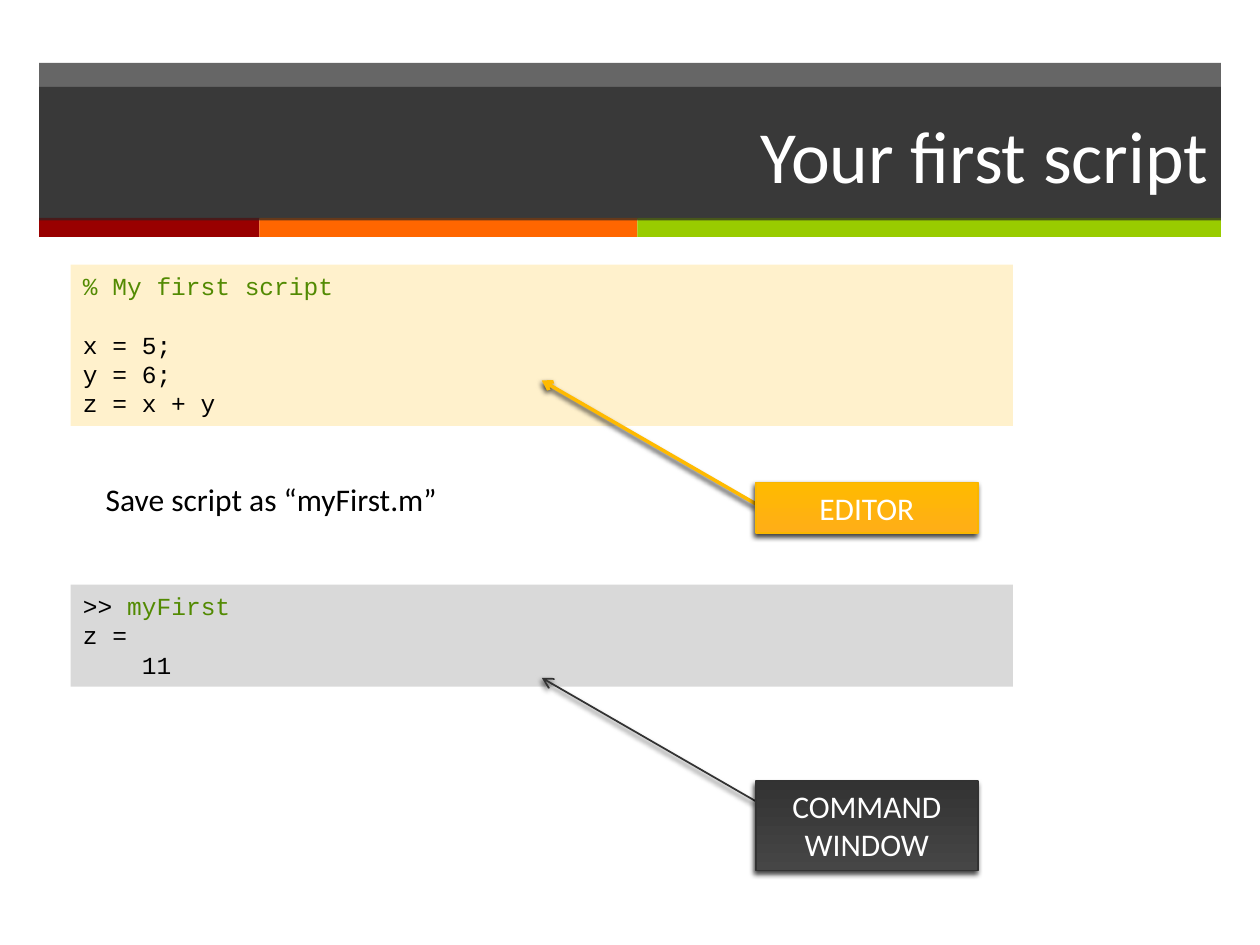
"""Build the "Your first script" slide with code panels and labelled callouts."""
from lxml import etree
from pptx import Presentation
from pptx.dml.color import RGBColor
from pptx.enum.shapes import MSO_CONNECTOR, MSO_SHAPE
from pptx.enum.text import MSO_ANCHOR, PP_ALIGN
from pptx.oxml.ns import qn
from pptx.util import Inches, Pt

RECTANGLE = MSO_SHAPE.RECTANGLE
STRAIGHT = MSO_CONNECTOR.STRAIGHT
LEFT, CENTER, RIGHT = PP_ALIGN.LEFT, PP_ALIGN.CENTER, PP_ALIGN.RIGHT
TOP, MIDDLE = MSO_ANCHOR.TOP, MSO_ANCHOR.MIDDLE
WHITE, BLACK, GREEN = "FFFFFF", "000000", "528A02"
CODE_LINE = Pt(16.8)


def color(value):
    return RGBColor.from_string(value)


def write(shape, lines, size, font, align=LEFT, anchor=TOP):
    frame = shape.text_frame
    frame.word_wrap = True
    frame.vertical_anchor = anchor
    for index, runs in enumerate(lines):
        paragraph = frame.paragraphs[0] if index == 0 else frame.add_paragraph()
        paragraph.alignment = align
        for text, run_color in runs:
            run = paragraph.add_run()
            run.text = text
            run.font.size = Pt(size)
            run.font.name = font
            run.font.color.rgb = color(run_color)
    return frame.paragraphs


presentation = Presentation()
presentation.slide_width = Inches(10)
presentation.slide_height = Inches(7.5)
slide = presentation.slides.add_slide(presentation.slide_layouts[6])
shapes = slide.shapes

rectangles = []
for left, top, width, height, fill, opacity in [
    (0.31, 0.5, 9.38, 1.24, "262626", 70),
    (0.31, 1.73, 1.75, 0.15, "990000", 100),
    (2.06, 1.73, 3, 0.15, "FF6600", 100),
    (5.06, 1.73, 4.63, 0.15, "99CC00", 100),
    (0.31, 0.69, 9.38, 1.06, "262626", 70),
    (0.56, 2.1, 7.48, 1.28, "FFF1CC", 100),
    (0.56, 4.64, 7.48, 0.81, "D9D9D9", 100),
]:
    shape = shapes.add_shape(
        RECTANGLE, Inches(left), Inches(top), Inches(width), Inches(height))
    shape.shadow.inherit = False
    shape.line.fill.background()
    shape.fill.solid()
    shape.fill.fore_color.rgb = color(fill)
    if opacity < 100:
        fill_color = shape._element.spPr.find(".//" + qn("a:srgbClr"))
        etree.SubElement(fill_color, qn("a:alpha"), val=str(opacity * 1000))
    rectangles.append(shape)
title, editor_panel, command_panel = rectangles[-3:]

write(title, [[("Your first script", WHITE)]], 42, "Calibri", RIGHT, MIDDLE)

editor_lines = write(editor_panel, [
    [("% My first script", GREEN)],
    [("x = 5;", BLACK)],
    [("y = 6;", BLACK)],
    [("z = x + y", BLACK)],
], 14, "Courier New")
command_lines = write(command_panel, [
    [(">> ", BLACK), ("myFirst", GREEN)],
    [("z =", BLACK)],
    [("    11", BLACK)],
], 14, "Courier New")
for paragraph in editor_lines + command_lines:
    paragraph.line_spacing = CODE_LINE
editor_lines[1].space_before = CODE_LINE

save_note = shapes.add_textbox(Inches(0.74), Inches(3.76), Inches(4.15), Inches(0.4))
write(save_note, [[("Save script as “myFirst.m”", BLACK)]], 18, "Calibri")

for label, top, height, arrow_top, arrow_color, arrow_width, border, gradient in [
    ("EDITOR", 3.83, 0.4, 3.02, "FFBA00", 2, "F9B600", ("FFAE17", "FFBA00")),
    ("COMMAND WINDOW", 6.2, 0.71, 5.38, "323232", 1, "323232", ("464646", "333333")),
]:
    arrow = shapes.add_connector(
        STRAIGHT, Inches(6), Inches(arrow_top + 0.98), Inches(4.3), Inches(arrow_top))
    arrow.line.color.rgb = color(arrow_color)
    arrow.line.width = Pt(arrow_width)
    etree.SubElement(arrow.line._get_or_add_ln(), qn("a:tailEnd"), type="arrow")
    arrow_effects = etree.SubElement(arrow._element.spPr, qn("a:effectLst"))

    callout = shapes.add_shape(
        RECTANGLE, Inches(6), Inches(top), Inches(1.76), Inches(height))
    callout.fill.gradient()
    callout.fill.gradient_angle = 90
    for stop, stop_color in zip(callout.fill.gradient_stops, gradient):
        stop.color.rgb = color(stop_color)
    callout.line.color.rgb = color(border)
    callout.line.width = Pt(1)
    callout.shadow.inherit = False
    write(callout, [[(label, WHITE)]], 18, "Calibri", CENTER)

    for effects in (arrow_effects, callout._element.spPr.find(qn("a:effectLst"))):
        shadow = etree.SubElement(
            effects, qn("a:outerShdw"), blurRad=str(Pt(3)), dist=str(Pt(2)),
            dir=str(110 * 60000), rotWithShape="0")
        shadow_color = etree.SubElement(shadow, qn("a:srgbClr"), val=BLACK)
        etree.SubElement(shadow_color, qn("a:alpha"), val="75000")

presentation.save("out.pptx")
